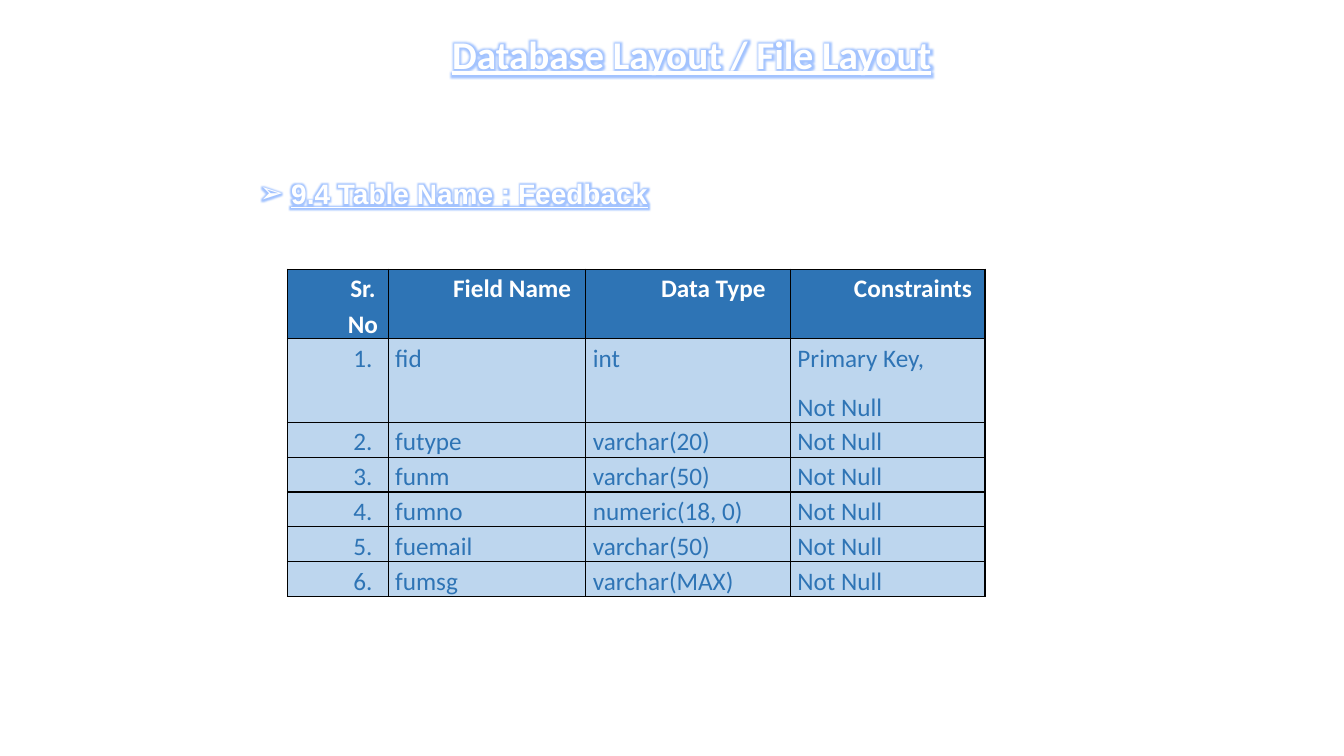
from lxml import etree
from pptx import Presentation
from pptx import util as u
from pptx.dml.color import RGBColor
from pptx.enum import text
from pptx.oxml.ns import qn

COLORS = dict(white="FFFFFF", header="2E74B5", body="BDD6EE",
              border="000000", glow="1A6BFF")
HEADER = ["Sr. No", "Field Name", "Data Type", "Constraints"]
FIELDS = [
    ("fid", "int", "Primary Key,\nNot Null"),
    ("futype", "varchar(20)", "Not Null"),
    ("funm", "varchar(50)", "Not Null"),
    ("fumno", "numeric(18, 0)", "Not Null"),
    ("fuemail", "varchar(50)", "Not Null"),
    ("fumsg", "varchar(MAX)", "Not Null"),
]
COLS = [1, 1.96, 2.03, 1.93]
ROWS = [0.69, 0.83] + [0.34] * 5
HEADING = dict(bold=True, underline=True)


def set_all(obj, values):
    for name, value in values.items():
        setattr(obj, name, value)


def sub(parent, tag, **attrs):
    return etree.SubElement(parent, qn("a:" + tag), attrs)


def set_indent(p, left, first=0):
    pPr = p._p.get_or_add_pPr()
    pPr.set("marL", str(u.Inches(left)))
    pPr.set("indent", str(u.Inches(first)))
    return pPr


def add_run(p, content, color, **fmt):
    r = p.add_run()
    r.text = content
    r.font.color.rgb = RGBColor.from_string(COLORS[color])
    set_all(r.font, fmt)
    return r


def add_glow(r, radius=8):
    effects = etree.Element(qn("a:effectLst"))
    glow = sub(effects, "glow", rad=str(u.Pt(radius)))
    clr = sub(glow, "srgbClr", val=COLORS["glow"])
    sub(clr, "alpha", val="40000")
    r.font._element.find(qn("a:solidFill")).addnext(effects)


def add_box(s, box, wrap):
    tf = s.shapes.add_textbox(*map(u.Inches, box)).text_frame
    tf.word_wrap = wrap
    return tf


def add_title(s, box):
    tf = add_box(s, box, True)
    tf.margin_top = u.Inches(0.07)
    p = tf.paragraphs[0]
    p.alignment = text.PP_ALIGN.CENTER
    add_glow(add_run(p, "Database Layout / File Layout", "white",
                     name="Calibri", size=u.Pt(28), **HEADING))


def add_table_name(s, box):
    p = add_box(s, box, False).paragraphs[0]
    set_all(p, dict(line_spacing=1.15, space_after=u.Pt(10)))
    pPr = set_indent(p, 0.81, -0.31)
    sub(pPr, "buFont", typeface="Arial")
    sub(pPr, "buChar", char="➢")
    add_glow(add_run(p, "9.4 Table Name : Feedback", "white",
                     name="Arial", size=u.Pt(20), **HEADING))


def add_borders(cell):
    tcPr = cell._tc.get_or_add_tcPr()
    for i, side in enumerate(("lnL", "lnR", "lnT", "lnB")):
        ln = etree.Element(qn("a:" + side), w=str(u.Pt(1)))
        sub(sub(ln, "solidFill"), "srgbClr", val=COLORS["border"])
        tcPr.insert(i, ln)


def fill_cell(cell, content, is_header, is_centered):
    set_all(cell, dict(margin_left=u.Inches(0.07), margin_right=u.Inches(0.07),
                       margin_top=0, margin_bottom=0))
    cell.fill.solid()
    cell.fill.fore_color.rgb = RGBColor.from_string(
        COLORS["header" if is_header else "body"])
    add_borders(cell)
    tf = cell.text_frame
    for i, line in enumerate(content.split("\n")):
        p = tf.add_paragraph() if i else tf.paragraphs[0]
        p.line_spacing = 1.15
        p.space_after = u.Pt(0 if is_header else 10)
        if is_centered:
            p.alignment = text.PP_ALIGN.CENTER
            set_indent(p, 0.5)
        add_run(p, line, "white" if is_header else "header",
                name="Calibri", size=u.Pt(18), bold=is_header)


def add_field_table(s, left, top):
    box = (left, top, sum(COLS), sum(ROWS))
    table = s.shapes.add_table(len(ROWS), len(COLS), *map(u.Inches, box)).table
    set_all(table, dict(first_row=False, horz_banding=False))
    for col, width in zip(table.columns, COLS):
        col.width = u.Inches(width)
    for row, height in zip(table.rows, ROWS):
        row.height = u.Inches(height)
    data = [HEADER] + [(f"{n}.", *field) for n, field in enumerate(FIELDS, 1)]
    for i, values in enumerate(data):
        for j, value in enumerate(values):
            fill_cell(table.cell(i, j), value, i == 0, i == 0 or j == 0)


def main():
    prs = Presentation()
    prs.slide_width, prs.slide_height = u.Inches(13.33), u.Inches(7.5)
    s = prs.slides.add_slide(prs.slide_layouts[6])
    # Headings
    add_title(s, (1.86, 0.23, 10, 1.04))
    add_table_name(s, (1.98, 1.65, 4.58, 0.49))
    # Field definitions
    add_field_table(s, 2.85, 2.67)
    prs.save("out.pptx")


if __name__ == "__main__":
    main()
